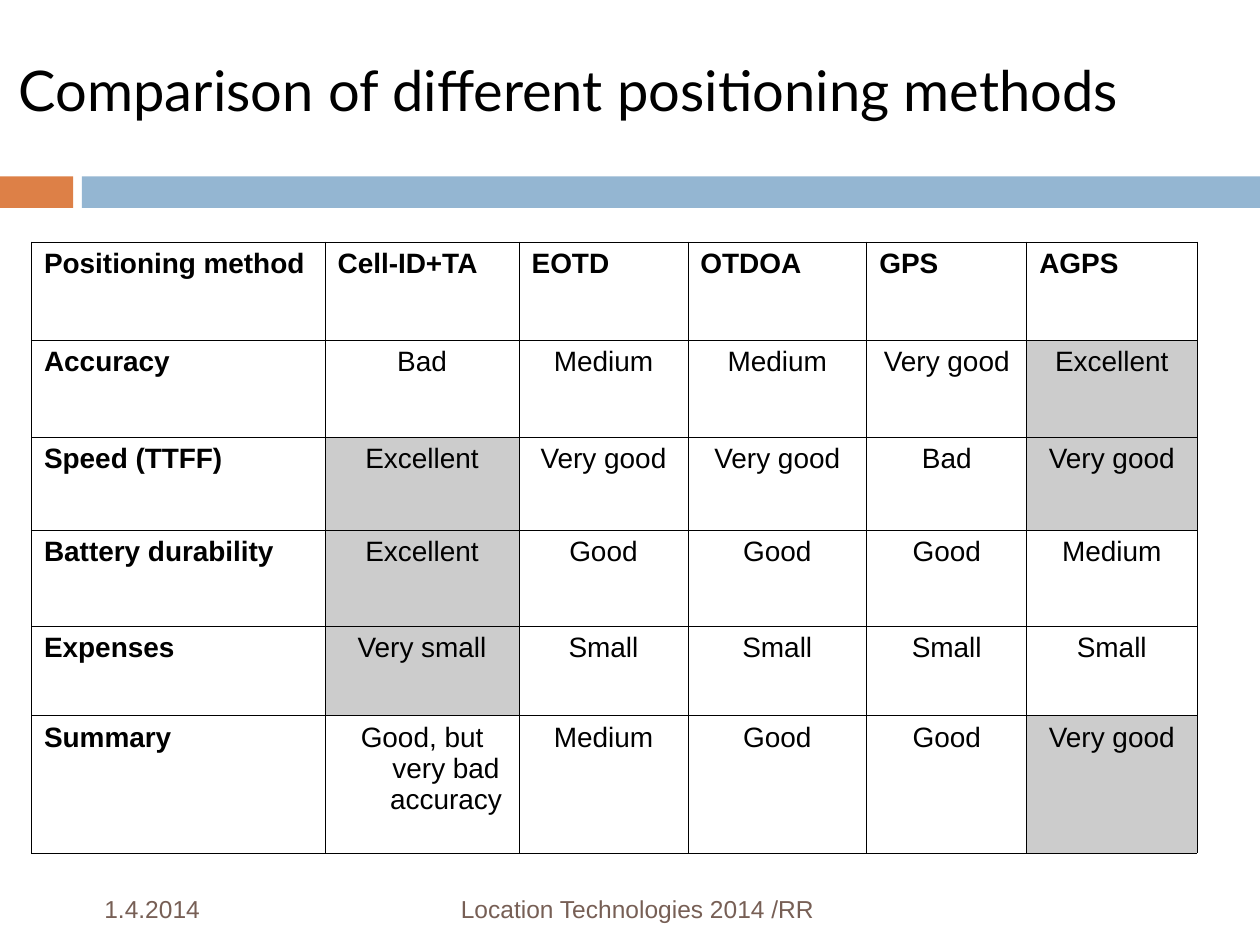
from pptx import Presentation
from pptx.dml.color import RGBColor
from pptx.enum.shapes import MSO_SHAPE as Shape
from pptx.enum.text import MSO_ANCHOR as Anchor, PP_ALIGN as Align
from pptx.oxml.ns import qn
from pptx.util import Inches, Pt
from lxml.etree import SubElement

BLACK = RGBColor(0x00, 0x00, 0x00)
ORANGE = RGBColor(0xDD, 0x80, 0x47)
BLUE = RGBColor(0x94, 0xB6, 0xD2)
BROWN = RGBColor(0x77, 0x5F, 0x55)
GRAY = RGBColor(0xCC, 0xCC, 0xCC)

COLUMN_WIDTHS = [2.33, 1.54, 1.34, 1.42, 1.27, 1.35]
ROW_HEIGHTS = [0.78, 0.77, 0.74, 0.76, 0.71, 1.09]
COMPARISON = [
    ["Positioning method", "Cell-ID+TA", "EOTD", "OTDOA", "GPS", "AGPS"],
    ["Accuracy", "Bad", "Medium", "Medium", "Very good", "Excellent"],
    ["Speed (TTFF)", "Excellent", "Very good", "Very good", "Bad", "Very good"],
    ["Battery durability", "Excellent", "Good", "Good", "Good", "Medium"],
    ["Expenses", "Very small", "Small", "Small", "Small", "Small"],
    ["Summary", "Good, but very bad accuracy", "Medium", "Good", "Good", "Very good"],
]
# Best ratings, as (row, column)
HIGHLIGHTED = {(1, 5), (2, 1), (2, 5), (3, 1), (4, 1), (5, 5)}


def place(shape, left, top, width, height):
    shape.left, shape.top = Inches(left), Inches(top)
    shape.width, shape.height = Inches(width), Inches(height)


def write(text_frame, text, size, color, align, font_name="Arial", bold=False):
    text_frame.text = text
    paragraph = text_frame.paragraphs[0]
    paragraph.alignment = align
    font = paragraph.runs[0].font
    font.name, font.size, font.bold = font_name, Pt(size), bold
    font.color.rgb = color
    return paragraph


def add_title(slide, text):
    title = slide.shapes.title
    place(title, 0.05, 0.39, 9.67, 0.64)
    title.text_frame.vertical_anchor = Anchor.TOP
    write(title.text_frame, text, 32, BLACK, Align.LEFT, "Lato")


def add_bar(slide, left, width, color):
    bar = slide.shapes.add_shape(
        Shape.RECTANGLE, Inches(left), Inches(1.4), Inches(width), Inches(0.25))
    bar.shadow.inherit = False
    bar.fill.solid()
    bar.fill.fore_color.rgb = color
    bar.line.fill.background()


def add_footer(slide, left, width, text, align):
    box = slide.shapes.add_textbox(
        Inches(left), Inches(6.96), Inches(width), Inches(0.5))
    box.text_frame.word_wrap = True
    box.text_frame.vertical_anchor = Anchor.MIDDLE
    write(box.text_frame, text, 14, BROWN, align)


def set_borders(cell):
    properties = cell._tc.get_or_add_tcPr()
    for side in ("a:lnL", "a:lnR", "a:lnT", "a:lnB"):
        line = SubElement(properties, qn(side), w=str(Pt(0.45)))
        fill = SubElement(line, qn("a:solidFill"))
        SubElement(fill, qn("a:srgbClr"), val=str(BLACK))


def format_cell(cell, text, is_heading, is_highlighted):
    align = Align.JUSTIFY if is_heading else Align.CENTER
    paragraph = write(cell.text_frame, text, 16, BLACK, align, bold=is_heading)
    # Hanging indent
    indent = Inches(0.38)
    paragraph_properties = paragraph._p.get_or_add_pPr()
    paragraph_properties.set("marL", str(indent))
    paragraph_properties.set("indent", str(-indent))
    set_borders(cell)
    if is_highlighted:
        cell.fill.solid()
        cell.fill.fore_color.rgb = GRAY
    else:
        cell.fill.background()


def add_comparison_table(slide):
    table = slide.shapes.add_table(
        len(ROW_HEIGHTS), len(COLUMN_WIDTHS), Inches(0.25), Inches(1.92),
        Inches(sum(COLUMN_WIDTHS)), Inches(sum(ROW_HEIGHTS))).table
    table.first_row = table.horz_banding = False
    for column, width in zip(table.columns, COLUMN_WIDTHS):
        column.width = Inches(width)
    for row, height in zip(table.rows, ROW_HEIGHTS):
        row.height = Inches(height)
    for r, texts in enumerate(COMPARISON):
        for c, text in enumerate(texts):
            format_cell(table.cell(r, c), text, r == 0 or c == 0, (r, c) in HIGHLIGHTED)


def main():
    presentation = Presentation()
    presentation.slide_width, presentation.slide_height = Inches(10), Inches(7.5)
    slide = presentation.slides.add_slide(presentation.slide_layouts[5])

    # Divider under the title
    add_bar(slide, 0, 0.58, ORANGE)
    add_bar(slide, 0.65, 9.35, BLUE)

    # Date and footer
    add_footer(slide, 0.73, 2.08, "1.4.2014", Align.LEFT)
    add_footer(slide, 3.39, 3.17, "Location Technologies 2014 /RR", Align.RIGHT)

    # Title and table
    add_title(slide, "Comparison of different positioning methods")
    add_comparison_table(slide)
    presentation.save("out.pptx")


if __name__ == "__main__":
    main()
